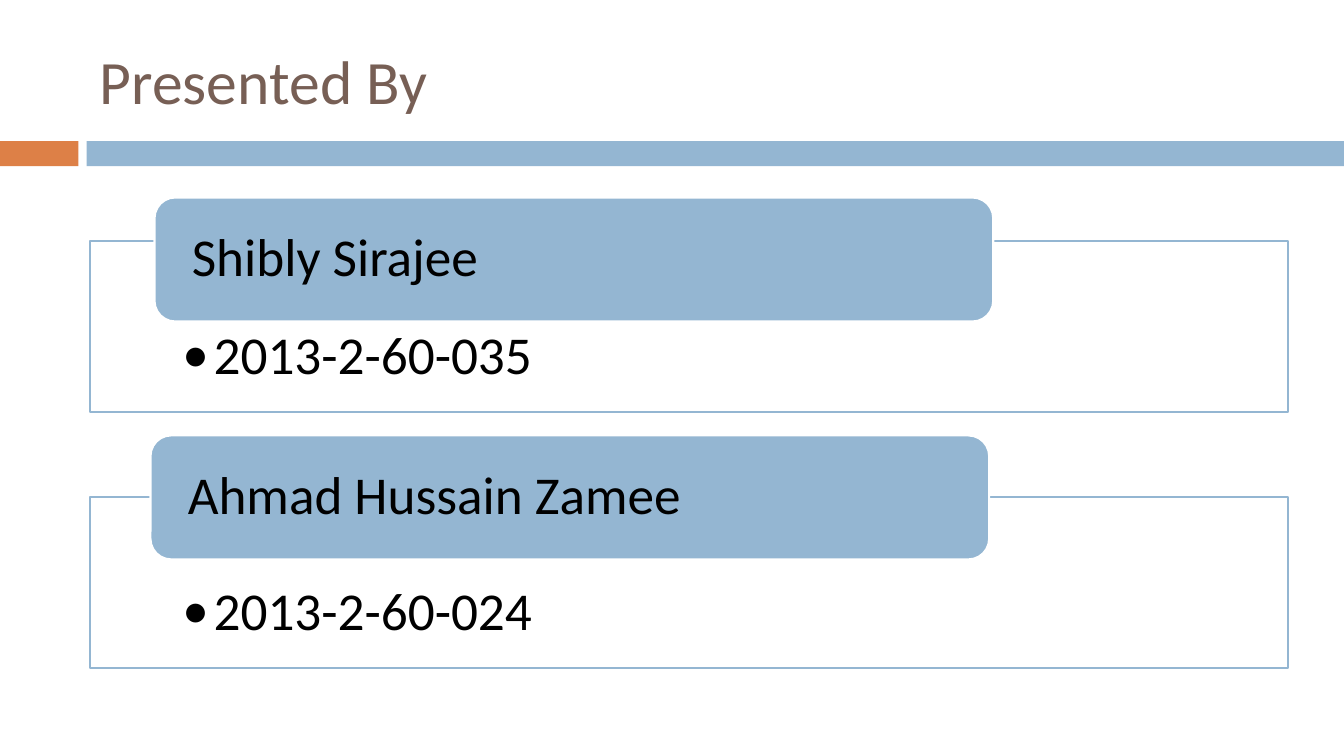
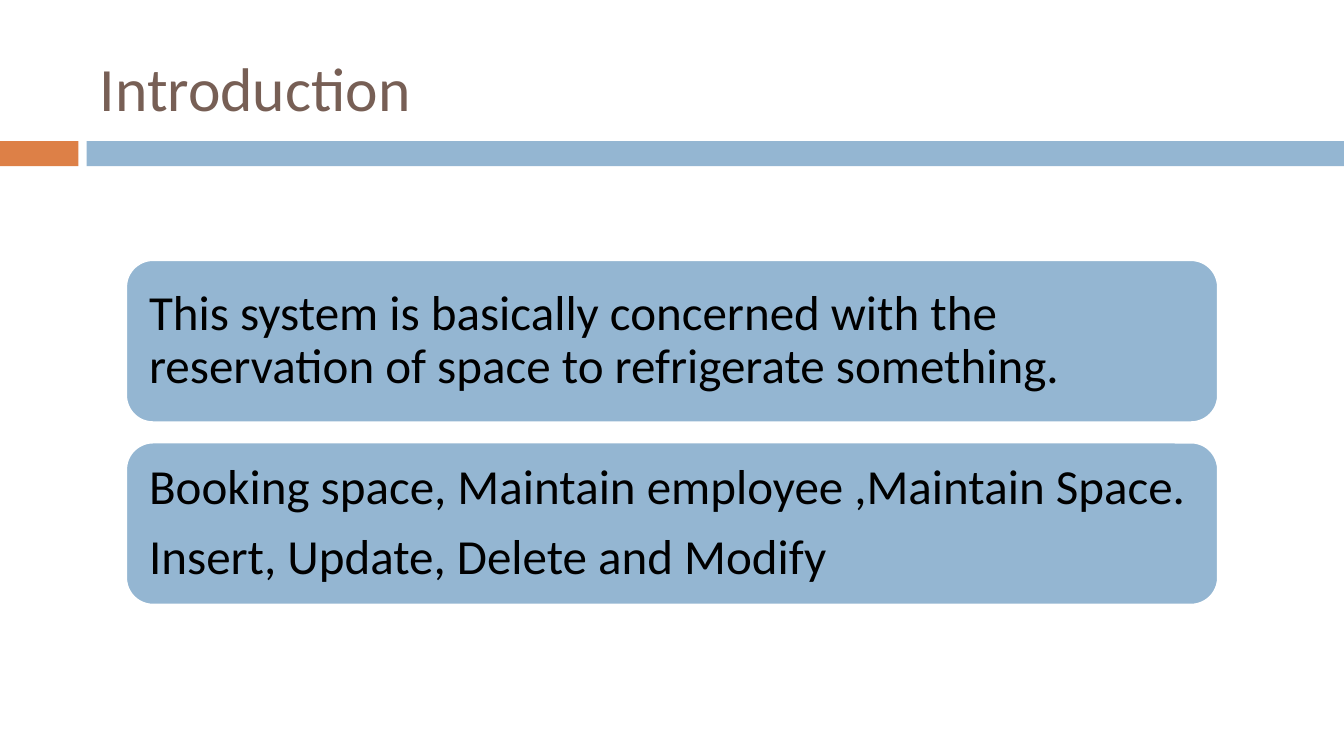
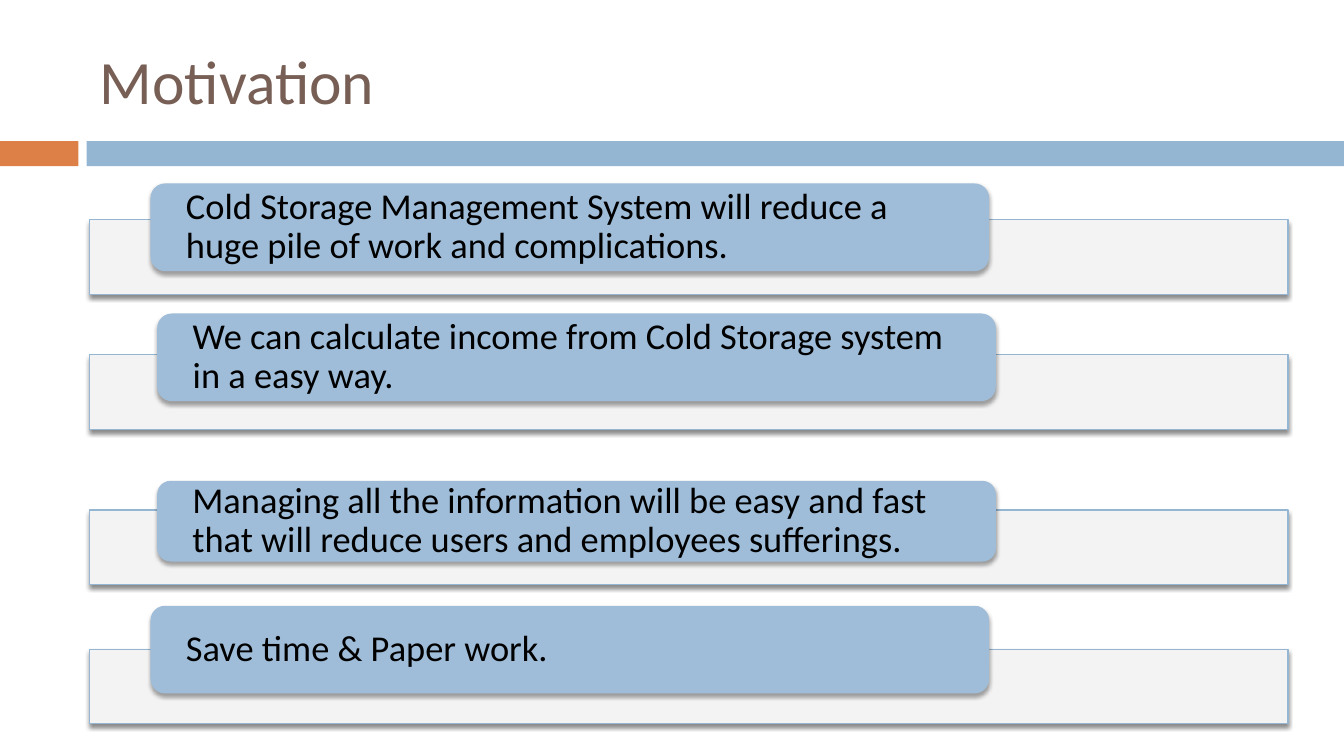
from lxml.etree import SubElement
from pptx import Presentation
from pptx.dml.color import RGBColor
from pptx.enum.shapes import MSO_SHAPE
from pptx.enum.text import MSO_ANCHOR, MSO_AUTO_SIZE, PP_ALIGN
from pptx.oxml.ns import qn
from pptx.util import Emu, Inches, Pt

SLIDE_W, SLIDE_H = Inches(13.33), Inches(7.5)
FONT = "Calibri"
ORANGE, BLUE, SOFT_BLUE = "DD8047", "94B6D2", "9FBDD8"
BROWN, BLACK, WHITE, PALE = "775F55", "000000", "FFFFFF", "F3F3F3"

# Shares of the slide's width or height, in percent
MARGIN, CONTENT_W = 6.67, 89.17
PILL_X, PILL_X_SHIFTED, PILL_W = 11.2, 11.7, 62.4
BAND_Y, BAND_H = 18.67, 3.33
TITLE_AREA = (MARGIN, 3.33, CONTENT_W, 14.4)

PILL_INSETS = (0.31, 0, 0.31, 0)
DETAIL_INSETS = (0.92, 0.87, 0.92, 0.3)
CARD_INSETS = (0.15, 0.15, 0.15, 0.15)


def color(hex_code):
    return RGBColor.from_string(hex_code)


def place(area):
    """Turn (left, top, width, height) in percent of the slide into lengths."""
    return [Emu(round(share * side / 100))
            for share, side in zip(area, (SLIDE_W, SLIDE_H) * 2)]


def add_panel(slide, kind, area, fill, line=None, line_width=1.5):
    panel = slide.shapes.add_shape(kind, *place(area))
    panel.shadow.inherit = False
    panel.fill.solid()
    panel.fill.fore_color.rgb = color(fill)
    if line:
        panel.line.color.rgb = color(line)
        panel.line.width = Pt(line_width)
    else:
        panel.line.fill.background()
    return panel


def drop_shadow(panel, opacity, distance):
    effects = panel.element.spPr.find(qn("a:effectLst"))
    shadow = SubElement(effects, qn("a:outerShdw"), blurRad=str(Pt(3)),
                        dist=str(Pt(distance)), dir="5400000", rotWithShape="0")
    tint = SubElement(shadow, qn("a:srgbClr"), val=BLACK)
    SubElement(tint, qn("a:alpha"), val=str(opacity * 1000))


def add_bullet(paragraph, indent):
    properties = paragraph._p.get_or_add_pPr()
    properties.set("marL", str(Inches(indent)))
    properties.set("indent", str(-Inches(indent)))
    SubElement(properties, qn("a:buFont"), typeface=FONT)
    SubElement(properties, qn("a:buChar"), char="•")


def add_run(paragraph, text, size, hex_code):
    run = paragraph.add_run()
    run.text = text
    run.font.name = FONT
    run.font.size = Pt(size)
    run.font.color.rgb = color(hex_code)


def write(panel, lines, size, insets, anchor=MSO_ANCHOR.MIDDLE, bulleted=False):
    frame = panel.text_frame
    frame.word_wrap = True
    frame.vertical_anchor = anchor
    (frame.margin_left, frame.margin_top,
     frame.margin_right, frame.margin_bottom) = map(Inches, insets)
    for number, line in enumerate(lines):
        paragraph = frame.add_paragraph() if number else frame.paragraphs[0]
        paragraph.alignment = PP_ALIGN.LEFT
        paragraph.line_spacing = 0.9
        paragraph.space_after = Pt(round(size * 0.35))
        if bulleted:
            add_bullet(paragraph, 0.31)
        add_run(paragraph, line, size, BLACK)


def add_titled_slide(deck, title, area=TITLE_AREA):
    slide = deck.slides.add_slide(deck.slide_layouts[5])
    heading = slide.shapes.title
    heading.left, heading.top, heading.width, heading.height = place(area)
    frame = heading.text_frame
    frame.auto_size = MSO_AUTO_SIZE.NONE
    frame.vertical_anchor = MSO_ANCHOR.MIDDLE
    frame.paragraphs[0].alignment = PP_ALIGN.LEFT
    add_run(frame.paragraphs[0], title, 44, BROWN)
    return slide


def move_bands_to_layout(slide):
    """Draw the two bands and hand them to the layout that all slides share."""
    for left, width, fill in ((0, 5.83, ORANGE), (6.45, 93.55, BLUE)):
        band = add_panel(slide, MSO_SHAPE.RECTANGLE,
                         (left, BAND_Y, width, BAND_H), fill)
        slide.slide_layout.shapes.element.append(band.element)


def add_presenter(slide, name, student_id, pill_x, pill_y, frame_y):
    details = add_panel(slide, MSO_SHAPE.RECTANGLE,
                        (MARGIN, frame_y, CONTENT_W, 22.67), WHITE, BLUE)
    write(details, [student_id], 38, DETAIL_INSETS, MSO_ANCHOR.TOP, bulleted=True)
    pill = add_panel(slide, MSO_SHAPE.ROUNDED_RECTANGLE,
                     (pill_x, pill_y, PILL_W, 16.4), BLUE, WHITE)
    write(pill, [name], 38, PILL_INSETS)


def add_reason(slide, reason, pill_x, pill_y, pill_h, frame_y):
    bar = add_panel(slide, MSO_SHAPE.RECTANGLE,
                    (MARGIN, frame_y, CONTENT_W, 9.87), PALE, BLUE, 0.79)
    drop_shadow(bar, 45, 2.4)
    pill = add_panel(slide, MSO_SHAPE.ROUNDED_RECTANGLE,
                     (pill_x, pill_y, PILL_W, pill_h), SOFT_BLUE)
    drop_shadow(pill, 35, 2)
    write(pill, [reason], 26, PILL_INSETS)


def build_presenters(deck):
    slide = add_titled_slide(deck, "Presented By")
    move_bands_to_layout(slide)
    add_presenter(slide, "Shibly Sirajee", "2013-2-60-035", 11.5, 26.13, 31.87)
    add_presenter(slide, "Ahmad Hussain Zamee", "2013-2-60-024",
                  PILL_X, 57.6, 65.73)


def build_introduction(deck):
    slide = add_titled_slide(deck, "Introduction", (MARGIN, 0, 81.25, 23.07))
    cards = (
        ["This system is basically concerned with the reservation of space "
         "to refrigerate something."],
        ["Booking space, Maintain employee ,Maintain Space.",
         "Insert, Update, Delete and Modify"],
    )
    top, height, gap = 34.4, 21.47, 2.66
    for row, lines in enumerate(cards):
        card = add_panel(slide, MSO_SHAPE.ROUNDED_RECTANGLE,
                         (9.38, top + row * (height + gap), 81.25, height),
                         BLUE, WHITE)
        write(card, lines, 35, CARD_INSETS)


def build_motivation(deck):
    slide = add_titled_slide(deck, "Motivation")
    reasons = (
        ("Cold Storage Management System will reduce a huge pile of work "
         "and complications.", PILL_X, 24.27, 11.6, 29.07),
        ("We can calculate income from Cold Storage system in a easy way.",
         PILL_X_SHIFTED, 41.47, 11.6, 46.93),
        ("Managing all the information will be easy and fast that will reduce "
         "users and employees sufferings.", PILL_X_SHIFTED, 63.6, 10.67, 67.47),
        ("Save time & Paper work.", PILL_X, 80.13, 11.6, 85.87),
    )
    for reason in reasons:
        add_reason(slide, *reason)


def main():
    deck = Presentation()
    deck.slide_width, deck.slide_height = SLIDE_W, SLIDE_H
    build_presenters(deck)
    build_introduction(deck)
    build_motivation(deck)
    deck.save("out.pptx")


if __name__ == "__main__":
    main()
